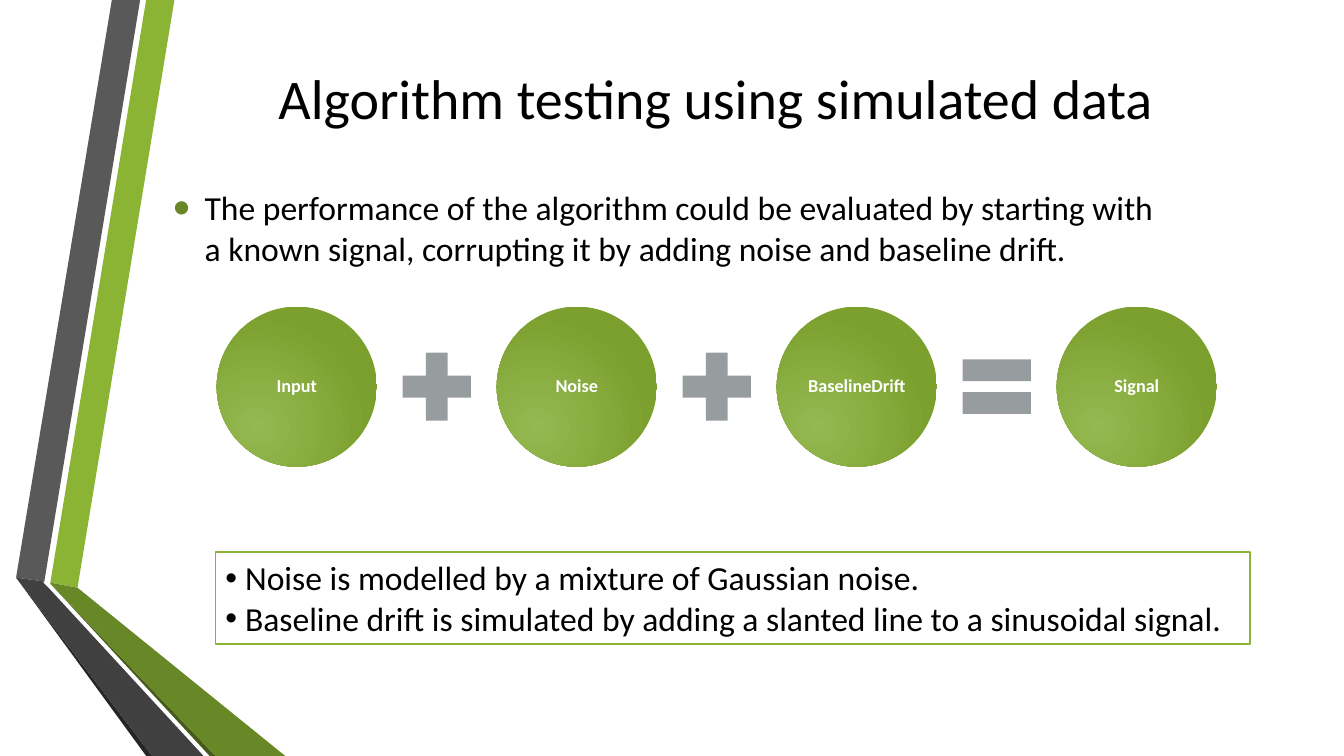
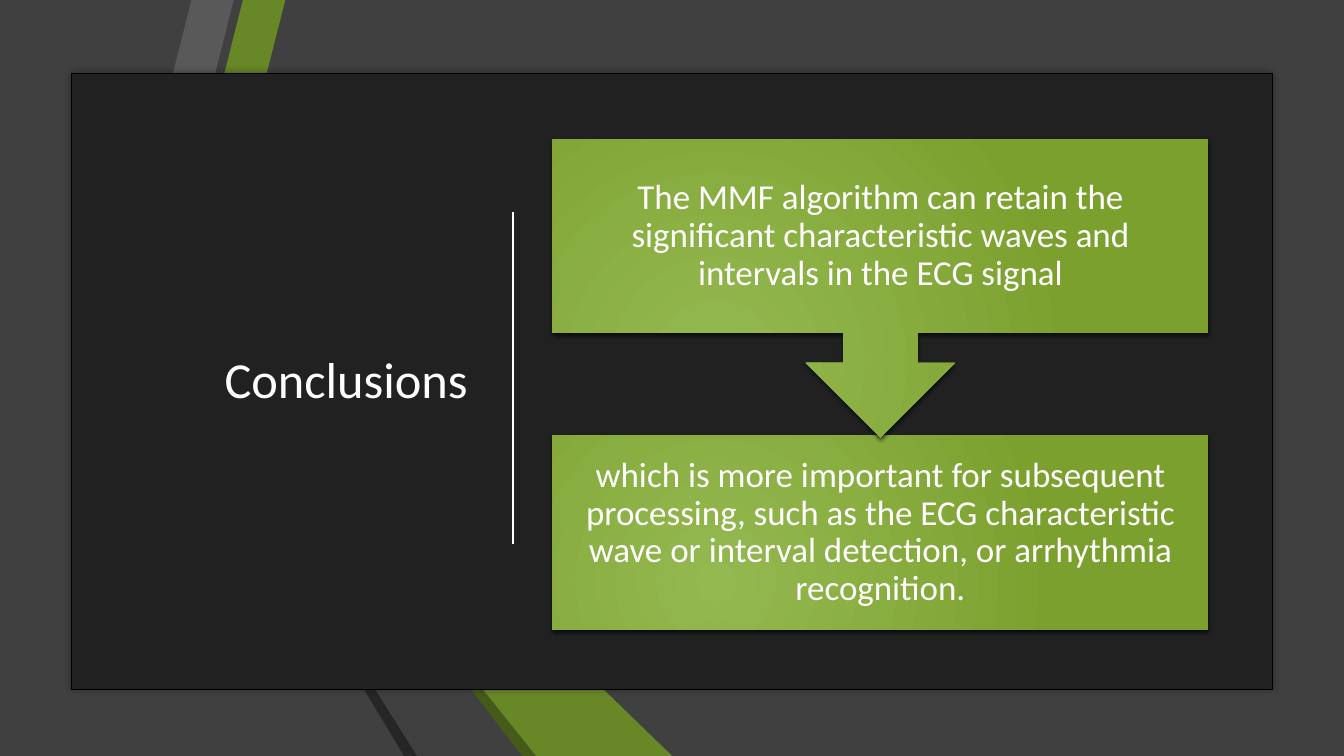
"""Builds two slides on testing an ECG filter: the simulated signal and the conclusions."""
from lxml import etree
from pptx import Presentation
from pptx.dml.color import RGBColor
from pptx.enum.shapes import MSO_CONNECTOR, MSO_SHAPE
from pptx.enum.text import MSO_ANCHOR, PP_ALIGN
from pptx.oxml import parse_xml
from pptx.oxml.ns import nsdecls, qn
from pptx.util import Pt

RECTANGLE, OVAL = MSO_SHAPE.RECTANGLE, MSO_SHAPE.OVAL
CALLOUT = MSO_SHAPE.DOWN_ARROW_CALLOUT
PLUS, EQUAL = MSO_SHAPE.MATH_PLUS, MSO_SHAPE.MATH_EQUAL
LEFT, CENTER, RIGHT = PP_ALIGN.LEFT, PP_ALIGN.CENTER, PP_ALIGN.RIGHT
TOP, MIDDLE = MSO_ANCHOR.TOP, MSO_ANCHOR.MIDDLE

FONT = "Calibri"
COLORS = {
    "white": "FFFFFF", "black": "000000", "panel": "212121",
    "charcoal": "404040", "gray": "595959", "shade": "262626",
    "lime": "8BB434", "green": "688727", "moss": "465A1A",
    "glow": "94B951", "leaf": "7CA02E", "sign": "979D9F",
}


def style_shape(shape, fill, line=None, width=0, shadow=None):
    """Fill with a colour, or with the radial glow; shadow is opacity, blur, distance, angle."""
    shape.shadow.inherit = False
    if fill == "glow":
        shape.fill.background()
        properties = shape.fill._xPr
        properties.replace(properties.find(qn("a:noFill")), parse_xml(
            f'<a:gradFill {nsdecls("a")} rotWithShape="1"><a:gsLst>'
            f'<a:gs pos="0"><a:srgbClr val="{COLORS["glow"]}"/></a:gs>'
            f'<a:gs pos="100000"><a:srgbClr val="{COLORS["leaf"]}"/></a:gs></a:gsLst>'
            '<a:path path="circle"><a:fillToRect l="50000" t="100000" r="100000" b="50000"/>'
            '</a:path></a:gradFill>'))
    else:
        shape.fill.solid()
        shape.fill.fore_color.rgb = RGBColor.from_string(COLORS[fill])
    if line:
        shape.line.color.rgb = RGBColor.from_string(COLORS[line])
        shape.line.width = Pt(width)
    else:
        shape.line.fill.background()
    if shadow:
        opacity, blur, distance, angle = shadow
        shape._element.spPr.find(qn("a:effectLst")).append(parse_xml(
            f'<a:outerShdw {nsdecls("a")} blurRad="{Pt(blur)}" dist="{Pt(distance)}" '
            f'dir="{angle * 60000}" rotWithShape="0"><a:srgbClr val="{COLORS["black"]}">'
            f'<a:alpha val="{opacity * 1000}"/></a:srgbClr></a:outerShdw>'))


def write_text(shape, lines, size, color, align=CENTER, anchor=MIDDLE, inset=None,
               spacing=None, before=0, after=0, bold=False, indent=0, bullet_color=None):
    """Write one paragraph per line; an indent adds bullets."""
    frame = shape.text_frame
    frame.word_wrap = True
    frame.vertical_anchor = anchor
    if inset is not None:
        frame.margin_left = frame.margin_right = Pt(inset)
        frame.margin_top = frame.margin_bottom = Pt(inset)
    frame.text = "\n".join(lines)
    for paragraph in frame.paragraphs:
        paragraph.alignment = align
        paragraph.line_spacing = spacing
        paragraph.space_before = Pt(before)
        paragraph.space_after = Pt(after)
        if indent:
            properties = paragraph._p.get_or_add_pPr()
            properties.set("marL", str(Pt(indent)))
            properties.set("indent", str(-Pt(indent)))
            if bullet_color:
                holder = etree.SubElement(properties, qn("a:buClr"))
                etree.SubElement(holder, qn("a:srgbClr"), val=COLORS[bullet_color])
                etree.SubElement(properties, qn("a:buSzPct"), val="145000")
            etree.SubElement(properties, qn("a:buFont"), typeface="Arial")
            etree.SubElement(properties, qn("a:buChar"), char="•")
        paragraph.font.name = FONT
        paragraph.font.size = Pt(size)
        paragraph.font.bold = bold
        paragraph.font.color.rgb = RGBColor.from_string(COLORS[color])


presentation = Presentation()
presentation.slide_width, presentation.slide_height = Pt(960), Pt(540)

SIMULATION_RIBBONS = [
    ("lime", [(36, 416.2), (55.4, 419.8), (124.6, 0), (104.4, 0)]),
    ("gray", [(100.1, 0), (79.9, 0), (11.5, 412.6), (31.7, 415.4)]),
    ("shade", [(11.5, 412.6), (104.4, 540), (108.7, 540)]),
    ("moss", [(36, 416.9), (149.8, 540), (154.1, 540)]),
    ("green", [(36, 416.2), (36, 416.9), (154.1, 540), (203.8, 540), (55.4, 419.8)]),
    ("charcoal", [(145.4, 540), (34.6, 419.8), (31, 416.2), (31.7, 415.4),
                  (11.5, 412.6), (108.7, 540)]),
]
CONCLUSION_RIBBONS = [
    ("green", [(120.2, 211.7), (148.3, 218.9), (203.8, 0), (173.5, 0)]),
    ("gray", [(113.8, 210.2), (167, 0), (136.8, 0), (85.7, 203)]),
    ("shade", [(85.7, 203.8), (288.7, 540), (298.1, 540)]),
    ("moss", [(383, 540), (120.2, 212.4), (373, 540)]),
    ("green", [(120.2, 211.7), (383, 540), (480.2, 540), (148.3, 218.9)]),
    ("charcoal", [(367.9, 540), (118.8, 217.4), (113.8, 210.2), (85.7, 203), (298.1, 540)]),
]
slides = []
for background, ribbons in [("white", SIMULATION_RIBBONS), ("charcoal", CONCLUSION_RIBBONS)]:
    slide = presentation.slides.add_slide(presentation.slide_layouts[6])
    slide.background.fill.solid()
    slide.background.fill.fore_color.rgb = RGBColor.from_string(COLORS[background])
    for color, corners in ribbons:
        points = [(Pt(x), Pt(y)) for x, y in corners]
        builder = slide.shapes.build_freeform(*points[0])
        builder.add_line_segments(points[1:], close=True)
        style_shape(builder.convert_to_shape(), color)
    slides.append(slide)
simulation, conclusions = slides

title = simulation.shapes.add_textbox(Pt(116.6), Pt(0), Pt(789), Pt(138.2))
write_text(title, ["Algorithm testing using simulated data"], 40, "black")

body = simulation.shapes.add_textbox(Pt(116.6), Pt(113.8), Pt(789), Pt(97.2))
write_text(body, [
    "The performance of the\u00a0algorithm\u00a0could\u00a0be\u00a0evaluated\u00a0by\u00a0starting"
    "\u00a0with a\u00a0known\u00a0signal,\u00a0corrupting\u00a0it\u00a0by\u00a0adding\u00a0noise"
    "\u00a0and baseline\u00a0drift."],
    24, "black", LEFT, before=4.8, after=6, indent=22.5, bullet_color="green")

DIAMETER, SIGN_SIZE, PITCH = 114.4, 66.2, 200
CIRCLE_LEFT, CIRCLE_TOP = 154.8, 219
SIGN_OFFSET = DIAMETER + (PITCH - DIAMETER - SIGN_SIZE) / 2
SIGN_TOP = CIRCLE_TOP + (DIAMETER - SIGN_SIZE) / 2
terms = [("Input", PLUS), ("Noise", PLUS), ("BaselineDrift", EQUAL), ("Signal", None)]
for index, (term, sign) in enumerate(terms):
    left = CIRCLE_LEFT + index * PITCH
    circle = simulation.shapes.add_shape(
        OVAL, Pt(left), Pt(CIRCLE_TOP), Pt(DIAMETER), Pt(DIAMETER))
    style_shape(circle, "glow")
    write_text(circle, [term], 13, "white", inset=1.3, spacing=0.9, after=4.55, bold=True)
    if sign:
        operator = simulation.shapes.add_shape(
            sign, Pt(left + SIGN_OFFSET), Pt(SIGN_TOP), Pt(SIGN_SIZE), Pt(SIGN_SIZE))
        style_shape(operator, "sign")

note = simulation.shapes.add_shape(RECTANGLE, Pt(154), Pt(394.5), Pt(738.7), Pt(65.4))
style_shape(note, "white", "lime", 1.25)
write_text(note, [
    "Noise is modelled by a mixture of Gaussian noise.",
    "Baseline drift is simulated by adding a slanted line to a sinusoidal signal."],
    24, "black", LEFT, TOP, indent=14)

panel = conclusions.shapes.add_shape(RECTANGLE, Pt(51), Pt(52.5), Pt(857.6), Pt(439.5))
style_shape(panel, "panel", "black", 0.25, (40, 5, 0, 0))

title = conclusions.shapes.add_textbox(Pt(93.6), Pt(99.4), Pt(247.7), Pt(341.3))
write_text(title, ["Conclusions"], 36, "white", RIGHT)

divider = conclusions.shapes.add_connector(
    MSO_CONNECTOR.STRAIGHT, Pt(366.5), Pt(151.2), Pt(366.5), Pt(388.8))
divider.line.color.rgb = RGBColor.from_string(COLORS["white"])
divider.line.width = Pt(1.25)
etree.SubElement(divider._element.spPr, qn("a:effectLst"))

steps = [
    (RECTANGLE, 311, 139,
     "which is more important for subsequent processing, such as the ECG characteristic "
     "wave or interval detection, or arrhythmia recognition."),
    (CALLOUT, 99.4, 213.1,
     "The MMF algorithm can retain the significant characteristic waves and intervals "
     "in the ECG signal"),
]
for kind, top, height, text in steps:
    step = conclusions.shapes.add_shape(kind, Pt(394.5), Pt(top), Pt(468.7), Pt(height))
    style_shape(step, "glow", shadow=(64, 3, 2, 90))
    write_text(step, [text], 25, "white", inset=13.7, spacing=0.9, after=8.75)

presentation.save("out.pptx")
